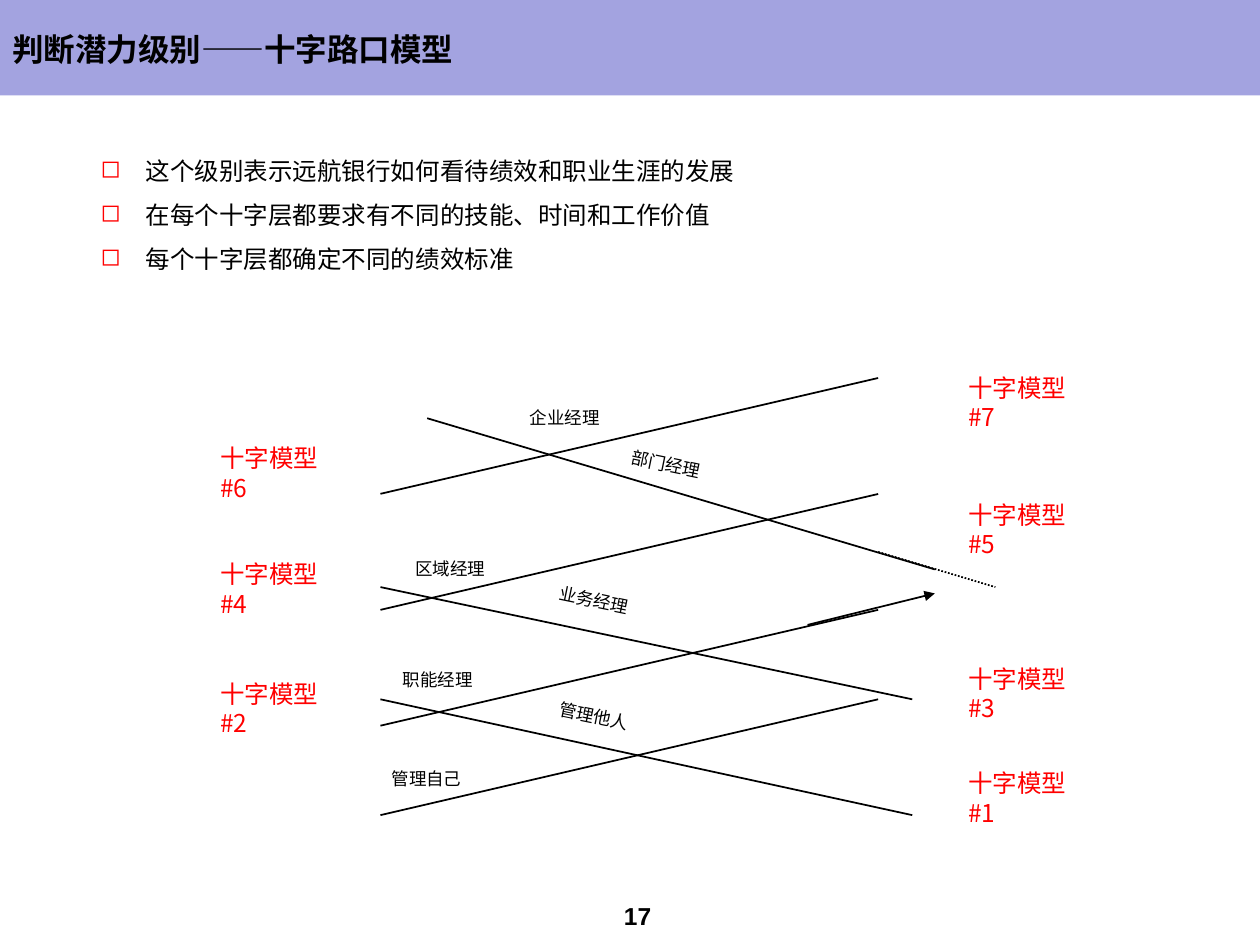
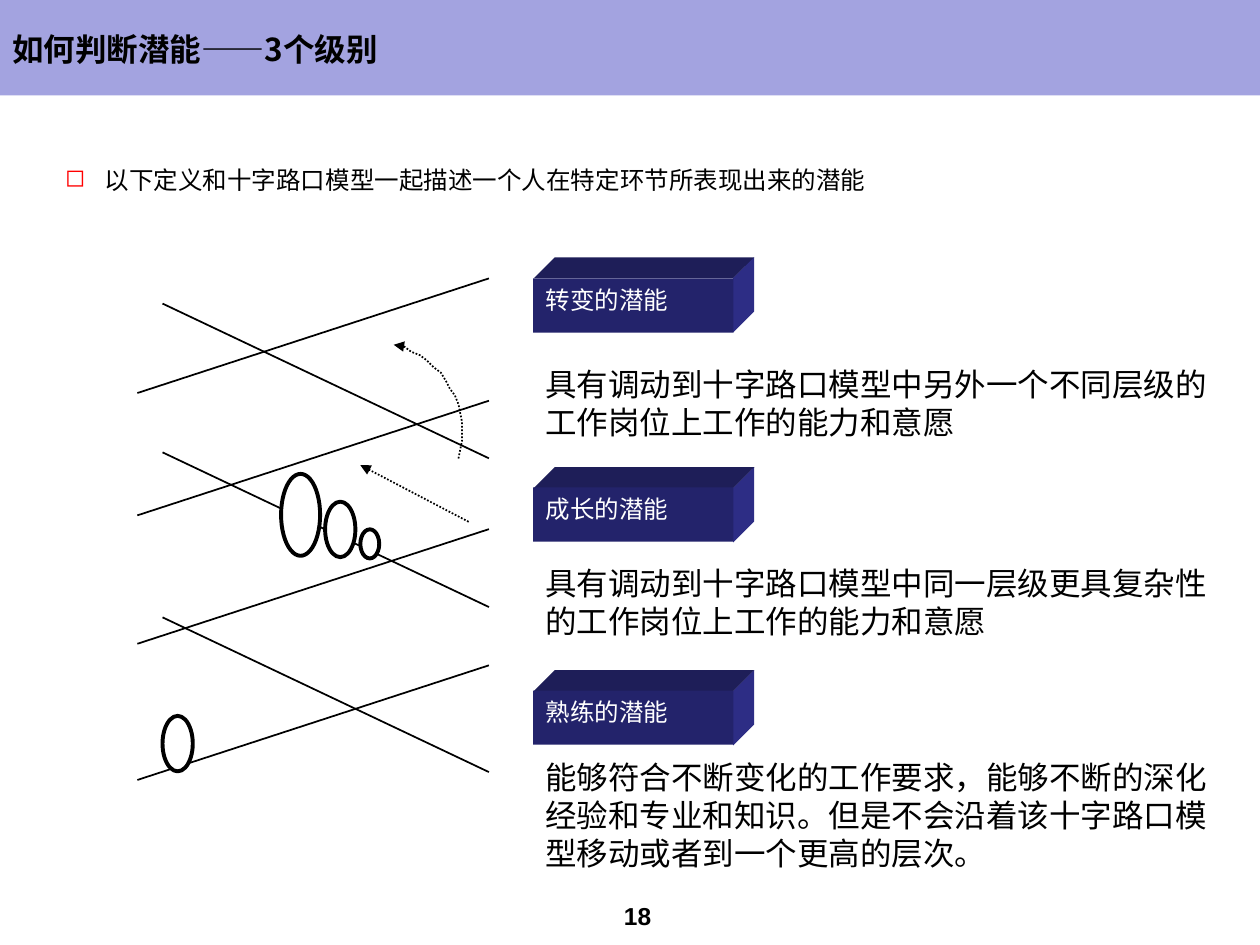
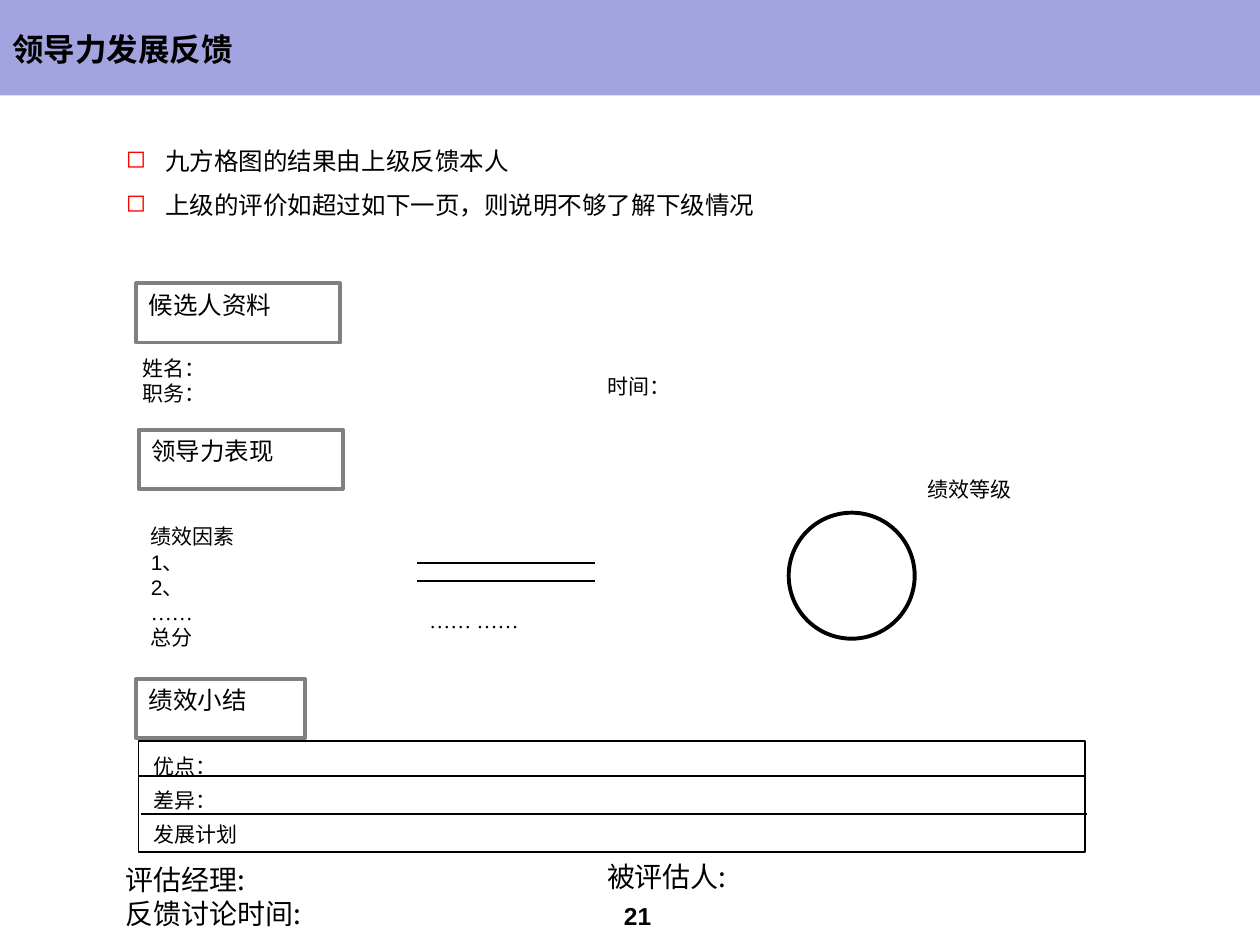
from dataclasses import dataclass

from lxml.etree import SubElement
from pptx import Presentation
from pptx.dml.color import RGBColor
from pptx.enum.dml import MSO_LINE
from pptx.enum.shapes import MSO_CONNECTOR, MSO_SHAPE
from pptx.enum.text import MSO_ANCHOR, PP_ALIGN
from pptx.oxml.ns import qn
from pptx.util import Pt

LATIN, HAN, SERIF = "Arial", "Noto Sans CJK SC", "Times New Roman"
BLACK, WHITE, RED, GREY = "000000", "FFFFFF", "FF0000", "808080"
BAND = "A3A3E0"
BLOCK_FRONT, BLOCK_TOP, BLOCK_SIDE = "23236B", "1E1E58", "2D2D85"


@dataclass
class Box:
    left: float
    top: float
    width: float
    height: float

    def inner(self, left, top, width, height):
        return Box(self.left + left, self.top + top, width, height)

    def point(self, across, down):
        return self.left + across, self.top + down

    def lengths(self):
        return Pt(self.left), Pt(self.top), Pt(self.width), Pt(self.height)


def colour(value):
    return RGBColor.from_string(value)


def style_line(item, value=BLACK, weight=1, dotted=False, arrow=False):
    item.line.color.rgb = colour(value)
    item.line.width = Pt(weight)
    if dotted:
        item.line.dash_style = MSO_LINE.ROUND_DOT
    if arrow:
        SubElement(item.line._get_or_add_ln(), qn("a:tailEnd"), type="triangle")


def style_shape(shape, fill=None, line=None, weight=1):
    shape.shadow.inherit = False
    if fill:
        shape.fill.solid()
        shape.fill.fore_color.rgb = colour(fill)
    else:
        shape.fill.background()
    if line:
        style_line(shape, line, weight)
    else:
        shape.line.fill.background()


def add_line(page, start, end, **style):
    line = page.shapes.add_connector(
        MSO_CONNECTOR.STRAIGHT, *map(Pt, start), *map(Pt, end))
    style_line(line, **style)
    SubElement(line._element.spPr, qn("a:effectLst"))
    return line


def add_shape(page, box, kind=MSO_SHAPE.RECTANGLE, **style):
    shape = page.shapes.add_shape(kind, *box.lengths())
    style_shape(shape, **style)
    return shape


def add_outline(page, points, close=True):
    builder = page.shapes.build_freeform(*points[0], scale=Pt(1))
    builder.add_line_segments(points[1:], close=close)
    return builder.convert_to_shape()


def add_bullet(para):
    properties = para._p.get_or_add_pPr()
    properties.set("marL", str(Pt(22.5)))
    properties.set("indent", str(-Pt(22.5)))
    SubElement(SubElement(properties, qn("a:buClr")), qn("a:srgbClr"), val=RED)
    SubElement(properties, qn("a:buChar"), char="◻")


def write(shape, lines, size, font=LATIN, value=BLACK, bold=False, wrap=True,
          anchor=MSO_ANCHOR.TOP, align=PP_ALIGN.LEFT, spacing=None, bullets=False):
    frame = shape.text_frame
    frame.word_wrap = wrap
    frame.vertical_anchor = anchor
    for index, text in enumerate(lines):
        para = frame.add_paragraph() if index else frame.paragraphs[0]
        para.alignment = align
        if spacing:
            para.line_spacing = spacing
        if bullets:
            add_bullet(para)
        span = para.add_run()
        span.text = text
        span.font.size = Pt(size)
        span.font.bold = bold
        span.font.color.rgb = colour(value)
        name = SERIF if text.startswith("…") else font
        span.font.name = name
        east_asian = HAN if name == LATIN else name
        SubElement(span.font._element, qn("a:ea"), typeface=east_asian)


def add_text(page, box, lines, size, **style):
    shape = page.shapes.add_textbox(*box.lengths())
    write(shape, lines, size, **style)
    return shape


def add_page(deck, title, number):
    page = deck.slides.add_slide(deck.slide_layouts[6])
    add_shape(page, Box(0, 0, 720, 54.6), fill=BAND)
    add_text(page, Box(337.7, 510.5, 53.3, 25.2), [number], 14, bold=True,
             anchor=MSO_ANCHOR.MIDDLE, align=PP_ALIGN.CENTER)
    add_text(page, Box(0, 5.8, 696, 44.6), [title], 18, font=HAN, bold=True,
             anchor=MSO_ANCHOR.MIDDLE)
    return page


def add_points(page, box, lines):
    add_text(page, box, lines, 14, spacing=1.5, bullets=True)


def add_crossroads(page, box):
    for start in (72.7, 139, 205.2, 256.3):
        add_line(page, box.point(98.6, start), box.point(383, start - 66.2))
    add_line(page, box.point(383, 105.9), box.point(450, 126), dotted=True)
    add_line(page, box.point(125.3, 29.5), box.point(415.4, 115.9))
    add_line(page, box.point(342.7, 147.6), box.point(415.4, 129.6), arrow=True)
    for start, end in ((126, 190.1), (190.1, 256.3)):
        add_line(page, box.point(98.6, start), box.point(402.5, end))

    crossings = (
        (0, ((6, 40.3), (4, 106.6), (2, 175))),
        (427.5, ((7, 0), (5, 72.7), (3, 166.3), (1, 226.1))),
    )
    for left, levels in crossings:
        for level, top in levels:
            add_text(page, box.inner(left, top, 75, 42), [f"十字模型#{level}"], 14,
                     font=HAN, value=RED)

    roles = (
        ("管理自己", 97.9, 226.1, 0), ("管理他人", 193.5, 190.1, 11.6),
        ("职能经理", 104.4, 169.2, 0), ("业务经理", 193.5, 123.9, 11.6),
        ("部门经理", 234.5, 46.1, 11.6), ("区域经理", 111.6, 105.9, 0),
        ("企业经理", 176.9, 19.5, 0),
    )
    for role, left, top, angle in roles:
        label = add_text(page, box.inner(left, top, 54.7, 19.4), [role], 10,
                         font=HAN, wrap=False)
        label.rotation = angle


def add_curved_arrow(page, anchors, steps=16):
    points = []
    for step in range(steps + 1):
        t = step / steps
        weights = ((1 - t) ** 3, 3 * t * (1 - t) ** 2, 3 * t ** 2 * (1 - t), t ** 3)
        points.append([sum(weight * anchor[axis] for weight, anchor in zip(weights, anchors))
                       for axis in (0, 1)])
    curve = add_outline(page, points, close=False)
    style_shape(curve)
    style_line(curve, dotted=True, arrow=True)


def add_potential_map(page, box):
    for start in (14.4, 99.4, 193.7):
        add_line(page, box.point(14.4, start), box.point(box.width, start + 88.4))
    for start in (65.5, 135.4, 208.8, 286.6):
        add_line(page, box.point(0, start), box.point(box.width, start - 65.5))
    people = ((82.1, 111.7, 22.3, 46.8), (107.3, 127.6, 17.3, 31.7),
              (127.4, 143.4, 10.8, 16.6), (14.4, 250, 17.3, 31.7))
    for person in people:
        add_shape(page, box.inner(*person), MSO_SHAPE.OVAL,
                  fill=WHITE, line=BLACK, weight=2.25)
    add_line(page, box.point(189.3, 139.1), box.point(127.4, 106.7),
             dotted=True, arrow=True)
    add_curved_arrow(page, [box.point(183.6, 103.1), box.point(192.2, 75),
                            box.point(174.9, 45.5), box.point(146.9, 37.6)])


def add_block(page, box, text, depth=12):
    width, height = box.width, box.height
    top_face = ((0, 0), (depth, -depth), (width + depth, -depth), (width, 0))
    side_face = ((width, 0), (width + depth, -depth),
                 (width + depth, height - depth), (width, height))
    for face, fill in ((top_face, BLOCK_TOP), (side_face, BLOCK_SIDE)):
        style_shape(add_outline(page, [box.point(*corner) for corner in face]), fill)
    front = add_shape(page, box, fill=BLOCK_FRONT)
    write(front, [text], 14, font=HAN, value=WHITE)


def add_definition(page, box, name, meaning, gap):
    add_block(page, box.inner(0, 0, 114.5, 31), name)
    add_text(page, box.inner(0, gap, box.width, box.height - gap), [meaning], 18, font=HAN)


def add_tag(page, box, text, width=116.6):
    tag = add_shape(page, box.inner(0, 0, width, 33.8), line=GREY, weight=2.25)
    write(tag, [text], 14)


def add_candidate(page, box):
    add_tag(page, box, "候选人资料")
    add_text(page, box.inner(-3.6, 37.4, 50.4, 36), ["姓名：", "职务："], 12, wrap=False)
    add_text(page, box.inner(262.1, 48.2, 50.4, 21.6), ["时间："], 12, wrap=False)


def add_performance(page, box):
    add_tag(page, box, "领导力表现")
    add_text(page, box.inner(0, 50.4, 62.6, 79.2),
             ["绩效因素", "1、", "2、", "……", "总分"], 12, wrap=False)
    for height in (76.3, 86.4):
        add_line(page, box.point(159.1, height), box.point(260.6, height))
    add_text(page, box.inner(159.1, 97.9, 74.2, 21.6), ["…… ……"], 12)
    add_shape(page, box.inner(371.5, 47.5, 72, 72), MSO_SHAPE.OVAL,
              fill=WHITE, line=BLACK, weight=2.25)
    add_text(page, box.inner(443.5, 23.1, 62.6, 21.6), ["绩效等级"], 12, wrap=False)


def add_summary(page, box):
    add_tag(page, box, "绩效小结", width=96.5)
    add_shape(page, box.inner(1.4, 35.4, 540.7, 63.4), fill=WHITE, line=BLACK)
    for left, height in ((1.4, 55.5), (2.8, 77.1)):
        add_line(page, box.point(left, height), box.point(left + 540.7, height))
    add_text(page, box.inner(2.8, 33.9, 62.6, 65.5), ["优点：", "差异：", "发展计划"], 12,
             wrap=False, spacing=1.35)


def add_signatures(page, box):
    add_text(page, box.inner(0, 2.2, 119.5, 46.1), ["评估经理:", "反馈讨论时间:"], 16,
             font=HAN, wrap=False)
    add_text(page, box.inner(275, 0, 87.1, 46.1), ["被评估人:"], 16, font=HAN, wrap=False)


def build_crossroads_page(deck):
    page = add_page(deck, "判断潜力级别——十字路口模型", "17")
    add_points(page, Box(50.4, 77, 540.7, 80.6), [
        " 这个级别表示远航银行如何看待绩效和职业生涯的发展",
        " 在每个十字层都要求有不同的技能、时间和工作价值",
        " 每个十字层都确定不同的绩效标准",
    ])
    add_crossroads(page, Box(118.8, 209.5, 512.5, 262))


def build_potential_page(deck):
    page = add_page(deck, "如何判断潜能——3个级别", "18")
    add_points(page, Box(30.2, 82.1, 647.3, 29.5),
               ["以下定义和十字路口模型一起描述一个人在特定环节所表现出来的潜能"])
    definitions = (
        (159.1, 96.5, 46.1, "转变的潜能",
         "具有调动到十字路口模型中另外一个不同层级的工作岗位上工作的能力和意愿"),
        (278.6, 90.8, 40.4, "成长的潜能",
         "具有调动到十字路口模型中同一层级更具复杂性的工作岗位上工作的能力和意愿"),
        (394.6, 107.2, 35.2, "熟练的潜能",
         "能够符合不断变化的工作要求，能够不断的深化经验和专业和知识。"
         "但是不会沿着该十字路口模型移动或者到一个更高的层次。"),
    )
    for top, height, gap, name, meaning in definitions:
        add_definition(page, Box(304.6, top, 403.2, height), name, meaning, gap)
    add_potential_map(page, Box(78.5, 159.1, 200.9, 286.6))


def build_feedback_page(deck):
    page = add_page(deck, "领导力发展反馈", "21")
    add_points(page, Box(64.8, 71.3, 376.6, 54.7), [
        "九方格图的结果由上级反馈本人",
        "上级的评价如超过如下一页，则说明不够了解下级情况",
    ])
    add_candidate(page, Box(77.8, 162, 312.5, 73.4))
    add_performance(page, Box(79.2, 245.5, 506.1, 129.6))
    add_summary(page, Box(77.8, 388, 543.5, 99.4))
    add_signatures(page, Box(64.8, 487.4, 362.1, 48.3))


def main():
    deck = Presentation()
    deck.slide_width, deck.slide_height = Pt(720), Pt(540)
    build_crossroads_page(deck)
    build_potential_page(deck)
    build_feedback_page(deck)
    deck.save("out.pptx")


if __name__ == "__main__":
    main()
